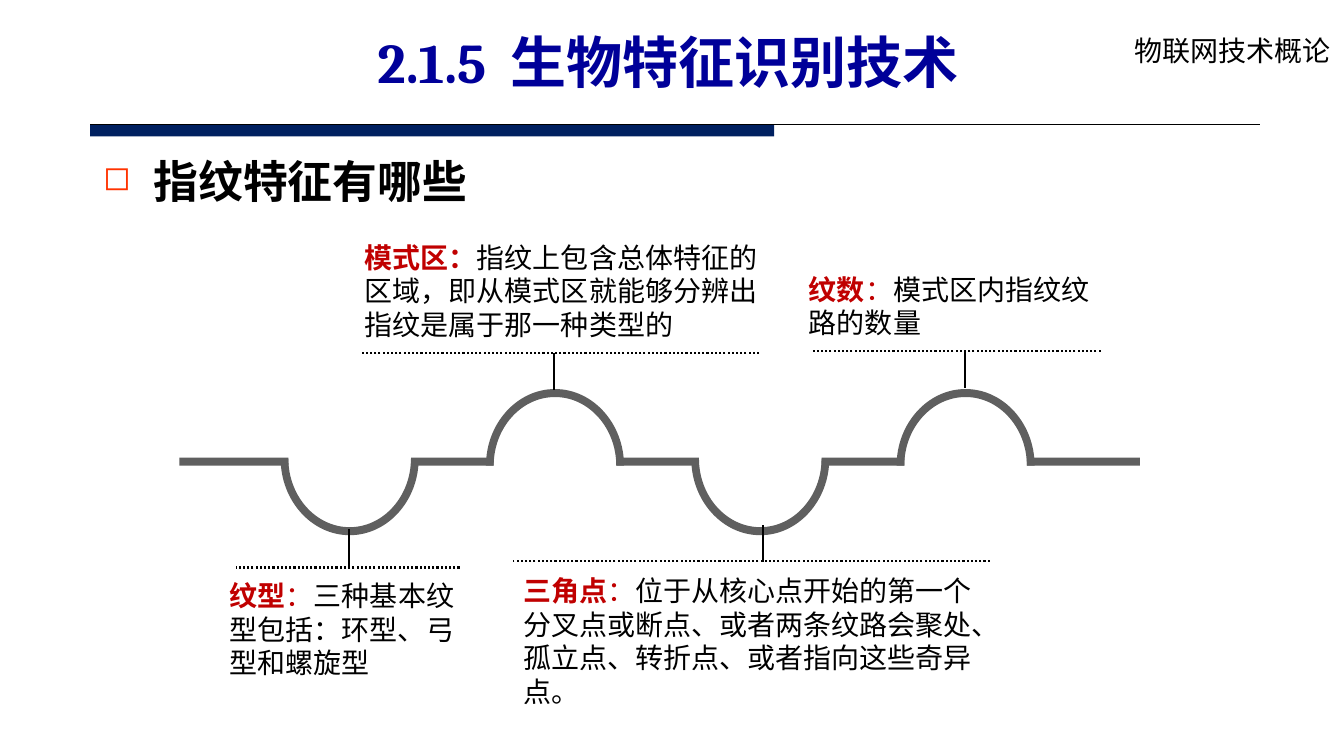
from dataclasses import dataclass

from lxml.etree import SubElement
from pptx import Presentation
from pptx.dml.color import RGBColor
from pptx.enum.dml import MSO_LINE
from pptx.enum.shapes import MSO_CONNECTOR, MSO_SHAPE
from pptx.enum.text import PP_ALIGN
from pptx.oxml.ns import qn
from pptx.util import Pt


@dataclass(frozen=True)
class Theme:
    title: RGBColor = RGBColor(0x00, 0x00, 0x99)
    rule: RGBColor = RGBColor(0x00, 0x20, 0x60)
    text: RGBColor = RGBColor(0x00, 0x00, 0x00)
    term: RGBColor = RGBColor(0xC0, 0x00, 0x00)
    wave: RGBColor = RGBColor(0x5F, 0x5F, 0x5F)
    bullet: str = "FF3300"
    title_size: float = 40
    heading_size: float = 32
    body_size: float = 20
    title_font: str = "Cambria"
    body_font: str = "Times New Roman"
    header_font: str = "Noto Sans CJK JP"
    chinese_font: str = "Noto Sans CJK SC"


@dataclass(frozen=True)
class Feature:
    bold_term: str
    plain_term: str
    description: str
    left: float
    top: float
    width: float
    height: float
    dots_left: float
    dots_right: float
    dots_y: float
    stem_x: float
    stem_top: float
    stem_bottom: float


THEME = Theme()
FEATURES = [
    Feature("纹型", "：", "三种基本纹型包括：环型、弓型和螺旋型",
            157, 409.7, 181.4, 79.9, 168.5, 328.3, 405.4, 249.1, 378, 404.6),
    Feature("模式区：", "", "指纹上包含总体特征的区域，即从模式区就能够分辨出指纹是属于那一种类型的",
            253.4, 168.1, 306, 79.9, 258.5, 542.2, 252, 396, 252, 278.6),
    Feature("三角点", "：",
            "位于从核心点开始的第一个分叉点或断点、或者两条纹路会聚处、孤立点、转折点、或者指向这些奇异点。",
            366.5, 406.1, 339.8, 104.4, 366.5, 707, 401, 545, 375.1, 401.8),
    Feature("纹数", "：", "模式区内指纹纹路的数量",
            570.7, 191, 226.8, 55.4, 579.6, 786.2, 250.6, 689, 250.6, 277.2),
]

WAVE_LEFT, WAVE_RIGHT = 128.2, 814.3
BAR_TOP, BAR_HEIGHT = 326.9, 5.7
FIRST_CENTRE, ARC_PITCH = 249.8, 146.65
OUTER_RADII, INNER_RADII = (49.3, 54.7), (43.8, 49)
ARC_FRAME_HEIGHT = 112.3
BEZIER_RATIO = 0.55


def add_box(page, left: float, top: float, width: float, height: float):
    box = page.shapes.add_textbox(Pt(left), Pt(top), Pt(width), Pt(height))
    box.text_frame.word_wrap = True
    return box.text_frame.paragraphs[0]


def add_span(para, text: str):
    span = para.add_run()
    span.text = text
    properties = span._r.get_or_add_rPr()
    SubElement(properties, qn("a:ea")).set("typeface", THEME.chinese_font)
    return span


def style(para, font: str, size: float, color: RGBColor, bold: bool = False) -> None:
    para.font.name = font
    para.font.size = Pt(size)
    para.font.color.rgb = color
    para.font.bold = bold


def add_line(page, x1: float, y1: float, x2: float, y2: float,
             width: float = 1.5, dotted: bool = False) -> None:
    line = page.shapes.add_connector(MSO_CONNECTOR.STRAIGHT, Pt(x1), Pt(y1), Pt(x2), Pt(y2))
    line.line.color.rgb = THEME.text
    line.line.width = Pt(width)
    if dotted:
        line.line.dash_style = MSO_LINE.ROUND_DOT
    SubElement(line._element.spPr, qn("a:effectLst"))


def fill_plain(shape, color: RGBColor) -> None:
    shape.shadow.inherit = False
    shape.fill.solid()
    shape.fill.fore_color.rgb = color
    shape.line.fill.background()


def add_bar(page, left: float, top: float, width: float, height: float, color: RGBColor) -> None:
    bar = page.shapes.add_shape(MSO_SHAPE.RECTANGLE, Pt(left), Pt(top), Pt(width), Pt(height))
    fill_plain(bar, color)


def half_ellipse(centre: float, base: float, radii: tuple[float, float],
                 direction: int) -> list[tuple[int, int]]:
    """Return the nodes and handles of two Bezier quarters, from left to right."""
    radius_x, radius_y = radii
    units = [(-1, 0), (-1, BEZIER_RATIO), (-BEZIER_RATIO, 1), (0, 1),
             (BEZIER_RATIO, 1), (1, BEZIER_RATIO), (1, 0)]
    return [(Pt(centre + radius_x * x), Pt(base + direction * radius_y * y)) for x, y in units]


def add_arc(page, centre: float, base: float, direction: int) -> None:
    """Draw a half ring standing on base; direction is -1 for a crest, 1 for a valley."""
    outer = half_ellipse(centre, base, OUTER_RADII, direction)
    inner = half_ellipse(centre, base, INNER_RADII, direction)[::-1]
    builder = page.shapes.build_freeform(*outer[0])
    builder.add_line_segments(outer[1:] + inner, close=True)
    # The far edge of the frame widens the extents, as for a full ring.
    far_edge = base + direction * (OUTER_RADII[1] - ARC_FRAME_HEIGHT)
    builder.move_to(Pt(centre), Pt(far_edge))
    arc = builder.convert_to_shape()
    outline = next(arc._element.iter(qn("a:path")))
    outline.remove(outline.findall(qn("a:moveTo"))[-1])
    segments = outline.findall(qn("a:lnTo"))
    for first in (0, 3, 7, 10):
        curve = SubElement(outline, qn("a:cubicBezTo"))
        segments[first].addprevious(curve)
        for segment in segments[first:first + 3]:
            curve.append(segment[0])
            outline.remove(segment)
    fill_plain(arc, THEME.wave)


def add_wave(page) -> None:
    centres = [FIRST_CENTRE + ARC_PITCH * index for index in range(4)]
    inner = INNER_RADII[0]
    starts = [WAVE_LEFT] + [centre + inner for centre in centres]
    ends = [centre - inner for centre in centres] + [WAVE_RIGHT]
    for start, end in zip(starts, ends):
        add_bar(page, start, BAR_TOP, end - start, BAR_HEIGHT, THEME.wave)
    for index, centre in enumerate(centres):
        if index % 2:
            add_arc(page, centre, BAR_TOP + BAR_HEIGHT, -1)
        else:
            add_arc(page, centre, BAR_TOP + 0.7, 1)


def add_feature(page, feature: Feature) -> None:
    add_line(page, feature.stem_x, feature.stem_top, feature.stem_x, feature.stem_bottom)
    add_line(page, feature.dots_right, feature.dots_y, feature.dots_left, feature.dots_y,
             dotted=True)
    para = add_box(page, feature.left, feature.top, feature.width, feature.height)
    para.line_spacing = Pt(24)
    style(para, THEME.body_font, THEME.body_size, THEME.text)
    for text, bold in ((feature.bold_term, True), (feature.plain_term, False)):
        if text:
            span = add_span(para, text)
            span.font.bold = bold
            span.font.color.rgb = THEME.term
    add_span(para, feature.description)


def add_title(page) -> None:
    para = add_box(page, 133.9, 25.9, 686.2, 51.1)
    para.alignment = PP_ALIGN.CENTER
    para.line_spacing = Pt(38)
    style(para, THEME.title_font, THEME.title_size, THEME.title, bold=True)
    add_span(para, "2.1.5")
    gap = add_span(para, " ")
    gap._r.get_or_add_rPr().set("spc", "850")
    add_span(para, "生物特征识别技术")


def add_heading(page) -> None:
    para = add_box(page, 66.5, 106.2, 840, 391)
    properties = para._p.get_or_add_pPr()
    properties.set("marL", str(Pt(36)))
    properties.set("indent", str(Pt(-36)))
    color = SubElement(properties, qn("a:buClr"))
    SubElement(color, qn("a:srgbClr")).set("val", THEME.bullet)
    SubElement(properties, qn("a:buSzPct")).set("val", "75000")
    SubElement(properties, qn("a:buChar")).set("char", "◻")
    style(para, THEME.chinese_font, THEME.heading_size, THEME.text, bold=True)
    add_span(para, "指纹特征有哪些")


def main() -> None:
    deck = Presentation()
    deck.slide_width, deck.slide_height = Pt(960), Pt(540)
    page = deck.slides.add_slide(deck.slide_layouts[6])
    add_bar(page, 64.4, 88.9, 488.6, 8.6, THEME.rule)
    add_line(page, 64.4, 88.9, 900, 88.9, width=0.75)
    header = add_box(page, 803.3, 20.2, 156.7, 33.8)
    style(header, THEME.header_font, THEME.body_size, THEME.text)
    add_span(header, "物联网技术概论")
    add_heading(page)
    add_title(page)
    add_wave(page)
    for feature in FEATURES:
        add_feature(page, feature)
    deck.save("out.pptx")


if __name__ == "__main__":
    main()
